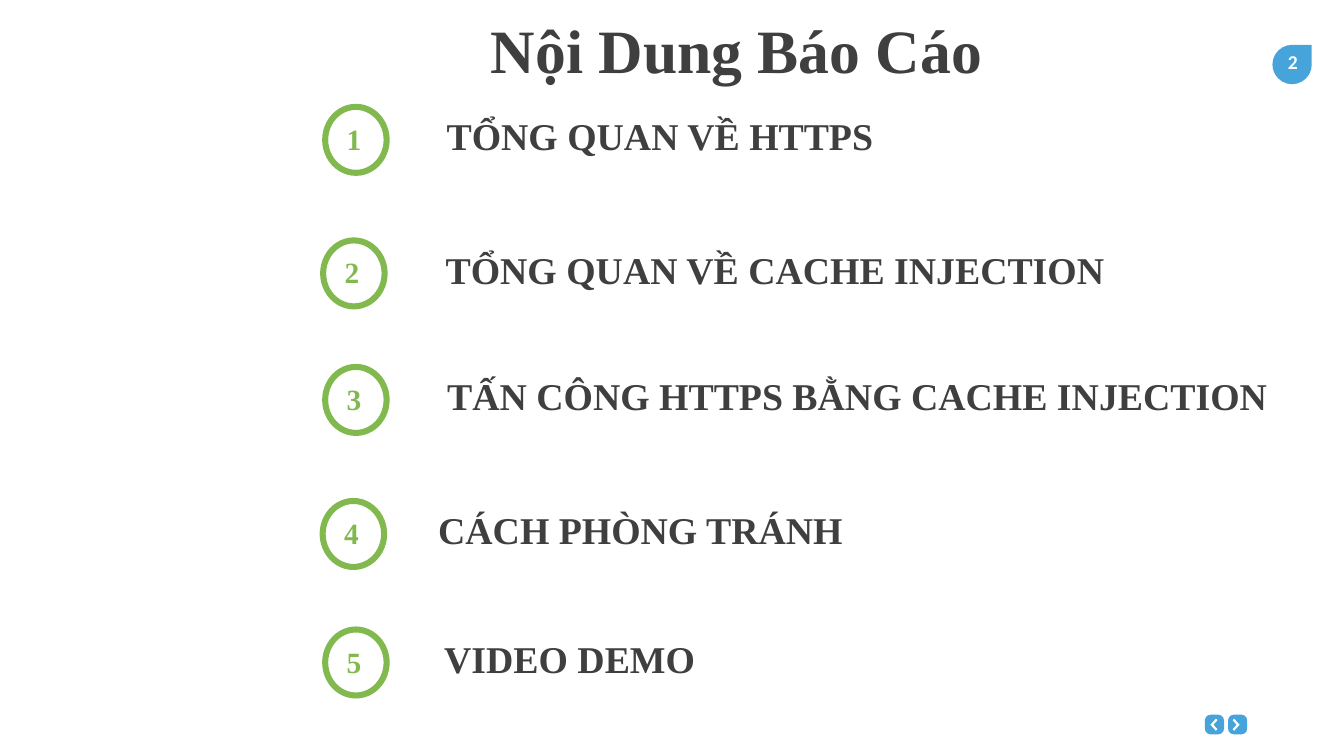
import pptx
import pptx.util
import pptx.dml.color
import pptx.enum.shapes
import pptx.enum.text

Inches = pptx.util.Inches
MSO_SHAPE = pptx.enum.shapes.MSO_SHAPE
PP_ALIGN = pptx.enum.text.PP_ALIGN

BLUE = "46A4DB"
GREEN = "81B94F"
GRAY = "3F3F3F"
WHITE = "FFFFFF"
SERIF = "Times New Roman"

presentation = pptx.Presentation()
presentation.slide_width = Inches(26.66)
presentation.slide_height = Inches(15)
slide = presentation.slides.add_slide(presentation.slide_layouts[6])


def paint(shape, color):
    shape.shadow.inherit = False
    shape.fill.solid()
    shape.fill.fore_color.rgb = pptx.dml.color.RGBColor.from_string(color)
    shape.line.fill.background()


def add_text(text, left, top, width, height, size, color, font=SERIF,
             alignment=PP_ALIGN.CENTER, margins=(0.2, 0.1), indent=0, wrap=True):
    box = slide.shapes.add_textbox(Inches(left), Inches(top), Inches(width), Inches(height))
    text_frame = box.text_frame
    text_frame.word_wrap = wrap
    text_frame.margin_left = Inches(margins[0] + indent)
    text_frame.margin_right = Inches(margins[0])
    text_frame.margin_top = text_frame.margin_bottom = Inches(margins[1])
    text_frame.text = text
    paragraph = text_frame.paragraphs[0]
    paragraph.alignment = alignment
    run = paragraph.runs[0]
    run.font.name = font
    run.font.size = pptx.util.Pt(size)
    run.font.bold = True
    run.font.color.rgb = pptx.dml.color.RGBColor.from_string(color)


for button_left, tip, tail in [(23.9, 0.11, 0.22), (24.36, 0.23, 0.12)]:
    button = slide.shapes.add_shape(
        MSO_SHAPE.ROUNDED_RECTANGLE, Inches(button_left), Inches(14.18), Inches(0.38), Inches(0.39))
    button.adjustments[0] = 0.3
    paint(button, BLUE)

    step = 0.03 if tail > tip else -0.03
    outline = [(tail, 14.26), (tail + step, 14.29), (tip + 2 * step, 14.38),
               (tail + step, 14.47), (tail, 14.5), (tip, 14.38)]
    points = [(Inches(button_left + x), Inches(y)) for x, y in outline]
    builder = slide.shapes.build_freeform(*points[0])
    builder.add_line_segments(points[1:], close=True)
    paint(builder.convert_to_shape(), WHITE)

badge = slide.shapes.add_shape(
    MSO_SHAPE.TEAR, Inches(25.24), Inches(0.89), Inches(0.78), Inches(0.78))
paint(badge, BLUE)
add_text("2", 25.21, 0.9, 0.87, 0.67, 28, WHITE, font="Calibri", wrap=False)

add_text("Nội Dung Báo Cáo", 3.16, 0.18, 22.9, 1.58, 88, GRAY, margins=(0.1, 0.05))

topics = [
    ("TỔNG QUAN VỀ HTTPS", 6.39, 2.06, 8.66, 13.37, PP_ALIGN.LEFT, 0),
    ("TỔNG QUAN VỀ CACHE INJECTION", 6.35, 4.71, 8.5, 15.13, PP_ALIGN.LEFT, 0.14),
    ("TẤN CÔNG HTTPS BẰNG CACHE INJECTION", 6.39, 7.22, 8.53, 17.19, PP_ALIGN.LEFT, 0.14),
    ("CÁCH PHÒNG TRÁNH", 6.34, 9.88, 7.89, 9.63, PP_ALIGN.CENTER, 0),
    ("VIDEO DEMO", 6.39, 12.43, 6.84, 7.61, PP_ALIGN.CENTER, 1.31),
]
for number, (topic, ring_left, top, left, width, alignment, indent) in enumerate(topics, 1):
    ring = slide.shapes.add_shape(
        MSO_SHAPE.DONUT, Inches(ring_left), Inches(top), Inches(1.34), Inches(1.43))
    ring.adjustments[0] = 0.09
    paint(ring, GREEN)
    add_text(topic, left, top + 0.08, width, 1.11, 54, GRAY, alignment=alignment, indent=indent)
    add_text(str(number), ring_left + 0.06, top + 0.24, 1.14, 0.91, 42, GREEN)

presentation.save("out.pptx")
